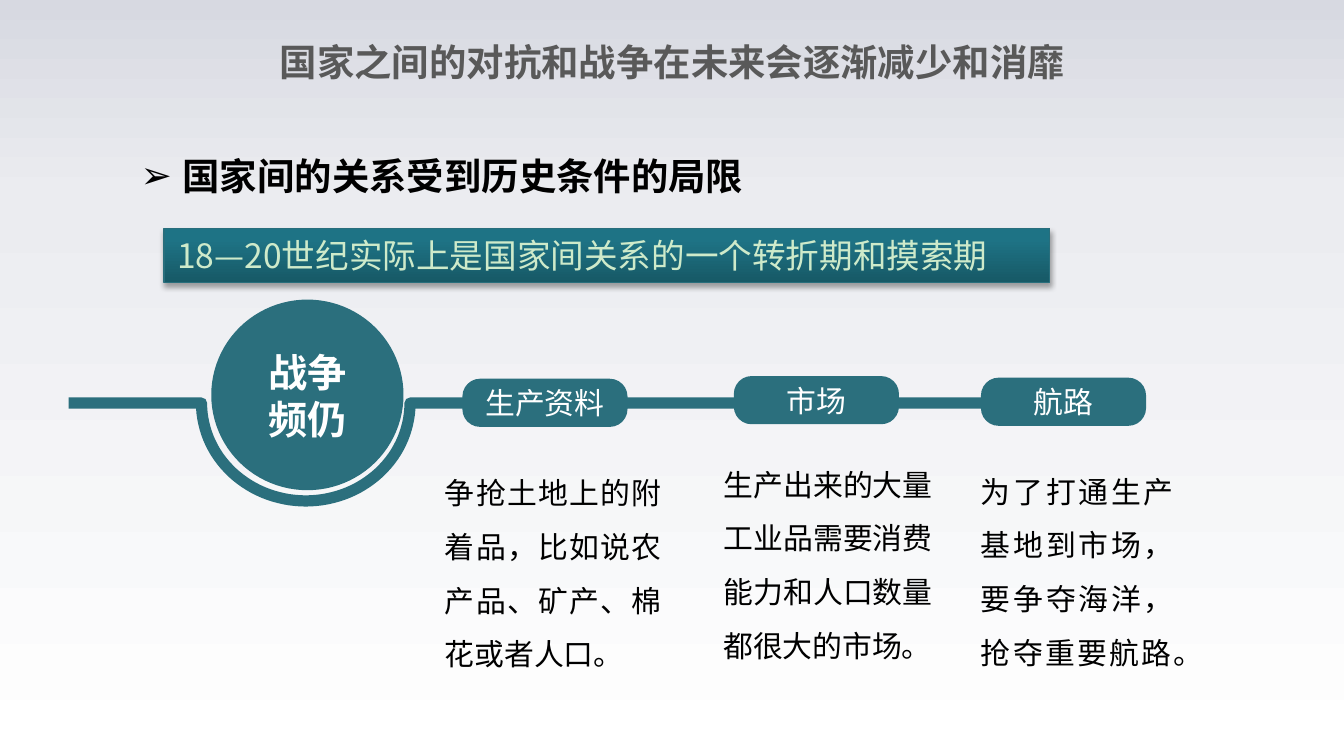
import math

from lxml import etree
from pptx import Presentation
from pptx.dml.color import RGBColor
from pptx.enum.shapes import MSO_SHAPE
from pptx.enum.text import MSO_ANCHOR, PP_ALIGN
from pptx.oxml.ns import qn
from pptx.util import Cm, Pt

CENTER, JUSTIFY, LEFT = PP_ALIGN.CENTER, PP_ALIGN.JUSTIFY, PP_ALIGN.LEFT
TOP, MIDDLE = MSO_ANCHOR.TOP, MSO_ANCHOR.MIDDLE
RECT, OVAL, PILL = MSO_SHAPE.RECTANGLE, MSO_SHAPE.OVAL, MSO_SHAPE.ROUNDED_RECTANGLE
NOTO = "Noto Sans CJK SC"
TEAL = "2B6F7D"
DEFAULT_INSET = (0.25, 0.13)

CAUSES = [
    ("生产资料", (8.74, 7.16), "争抢土地上的附着品，比如说农产品、矿产、棉花或者人口。",
     (8.41, 8.64, 4.09, 5.44), (0, 0)),
    ("市场", (13.87, 7.11), "生产出来的大量工业品需要消费能力和人口数量都很大的市场。",
     (13.67, 8.48, 3.96, 5.38), (0, 0)),
    ("航路", (18.54, 7.14), "为了打通生产基地到市场，要争夺海洋，抢夺重要航路。",
     (18.29, 8.48, 4.14, 4.37), DEFAULT_INSET),
]


def color(value):
    return RGBColor.from_string(value)


def add_child(parent, tag, **attributes):
    return etree.SubElement(parent, qn(tag), attributes)


def fill_gradient(fill, owner, stops, angle):
    fill.gradient()
    fill.gradient_angle = angle
    stop_list = next(owner.iter(qn("a:gsLst")))
    for stop in list(stop_list):
        stop_list.remove(stop)
    for percent, value in stops:
        stop = add_child(stop_list, "a:gs", pos=str(percent * 1000))
        add_child(stop, "a:srgbClr", val=value)


def write(shape, text, *, size, font=NOTO, ink="000000", bold=False, align=LEFT,
          anchor=TOP, inset=(0, 0), spacing=None, wrap=True, bullet=None):
    frame = shape.text_frame
    frame.word_wrap = wrap
    frame.vertical_anchor = anchor
    frame.margin_left = frame.margin_right = Cm(inset[0])
    frame.margin_top = frame.margin_bottom = Cm(inset[1])
    frame.text = text
    for paragraph in frame.paragraphs:
        paragraph.alignment = align
        if spacing:
            paragraph.line_spacing = spacing
        if bullet:
            properties = paragraph._p.get_or_add_pPr()
            properties.set("marL", str(Cm(0.79)))
            properties.set("indent", str(Cm(-0.79)))
            add_child(properties, "a:buFont", typeface="Wingdings")
            properties[-1].set("typeface", font)
            add_child(properties, "a:buChar", char=bullet)
        for run in paragraph.runs:
            run.font.name = font
            run.font.size = Pt(size)
            run.font.bold = bold
            run.font.color.rgb = color(ink)
            add_child(run.font._element, "a:ea", typeface=NOTO)


def add_text(slide, box, text, **style):
    write(slide.shapes.add_textbox(*map(Cm, box)), text, **style)


def add_block(slide, kind, box, fill=TEAL, line=None, width=0):
    block = slide.shapes.add_shape(kind, *map(Cm, box))
    block.shadow.inherit = False
    block.fill.solid()
    block.fill.fore_color.rgb = color(fill)
    if line:
        block.line.color.rgb = color(line)
        block.line.width = Pt(width)
    else:
        block.line.fill.background()
    return block


def add_banner(slide, box, text):
    banner = add_block(slide, RECT, box, line="286E7C", width=0.75)
    stops = [(0, "175966"), (80, "1E7385"), (100, "1C7588")]
    fill_gradient(banner.fill, banner.element, stops, 90)
    effects = banner.element.spPr.find(qn("a:effectLst"))
    shadow = add_child(effects, "a:outerShdw", blurRad=str(Pt(3.1)), dist=str(Pt(1.8)),
                       dir="5400000", rotWithShape="0")
    add_child(add_child(shadow, "a:srgbClr", val="000000"), "a:alpha", val="35000")
    write(banner, text, size=18, ink="CEEACA", inset=DEFAULT_INSET)


def add_track(slide, start, end, level, center, radius_x, radius_y):
    steps = 60
    angles = [math.pi * step / steps for step in range(steps + 1)]
    points = [(center + radius_x * math.cos(a), level + radius_y * math.sin(a))
              for a in angles] + [(start, level)]
    builder = slide.shapes.build_freeform(Cm(end), Cm(level))
    builder.add_line_segments([(Cm(x), Cm(y)) for x, y in points], close=False)
    track = builder.convert_to_shape()
    track.shadow.inherit = False
    track.fill.background()
    track.line.color.rgb = color(TEAL)
    track.line.width = Pt(6)
    add_child(track.element.spPr.find(qn("a:ln")), "a:round")


def add_cause(slide, label, corner, detail, detail_box, inset):
    pill = add_block(slide, PILL, (*corner, 3.12, 0.91))
    pill.adjustments[0] = 0.368
    write(pill, label, size=16, font="Calibri", ink="FFFFFF", align=CENTER, anchor=MIDDLE)
    add_text(slide, detail_box, detail, size=16, font="Arial", align=JUSTIFY,
             spacing=1.5, inset=inset)


def main():
    deck = Presentation()
    deck.slide_width, deck.slide_height = Cm(25.4), Cm(14.29)
    slide = deck.slides.add_slide(deck.slide_layouts[6])
    fill_gradient(slide.background.fill, slide.element,
                  [(0, "D7D9E1"), (26, "EBECF0"), (100, "FFFFFF")], 270)

    add_text(slide, (4.52, 0.74, 16.38, 0.86), "国家之间的对抗和战争在未来会逐渐减少和消靡",
             size=20, ink="595959", bold=True, align=CENTER)
    add_banner(slide, (3.1, 4.32, 16.74, 1.02), "18—20世纪实际上是国家间关系的一个转折期和摸索期")
    add_text(slide, (2.41, 2.34, 11.99, 1.55), "国家间的关系受到历史条件的局限",
             size=20, font="Arial", bold=True, align=JUSTIFY, spacing=1.5,
             wrap=False, bullet="➢", inset=DEFAULT_INSET)
    add_track(slide, start=1.3, end=20.85, level=7.62, center=5.78,
              radius_x=1.97, radius_y=1.85)
    war = add_block(slide, OVAL, (4.17, 5.84, 3.28, 3.25), line=TEAL, width=10)
    write(war, "战争\n频仍", size=21, ink="FFFFFF", bold=True, align=CENTER, anchor=MIDDLE)
    for cause in CAUSES:
        add_cause(slide, *cause)
    deck.save("out.pptx")


if __name__ == "__main__":
    main()
